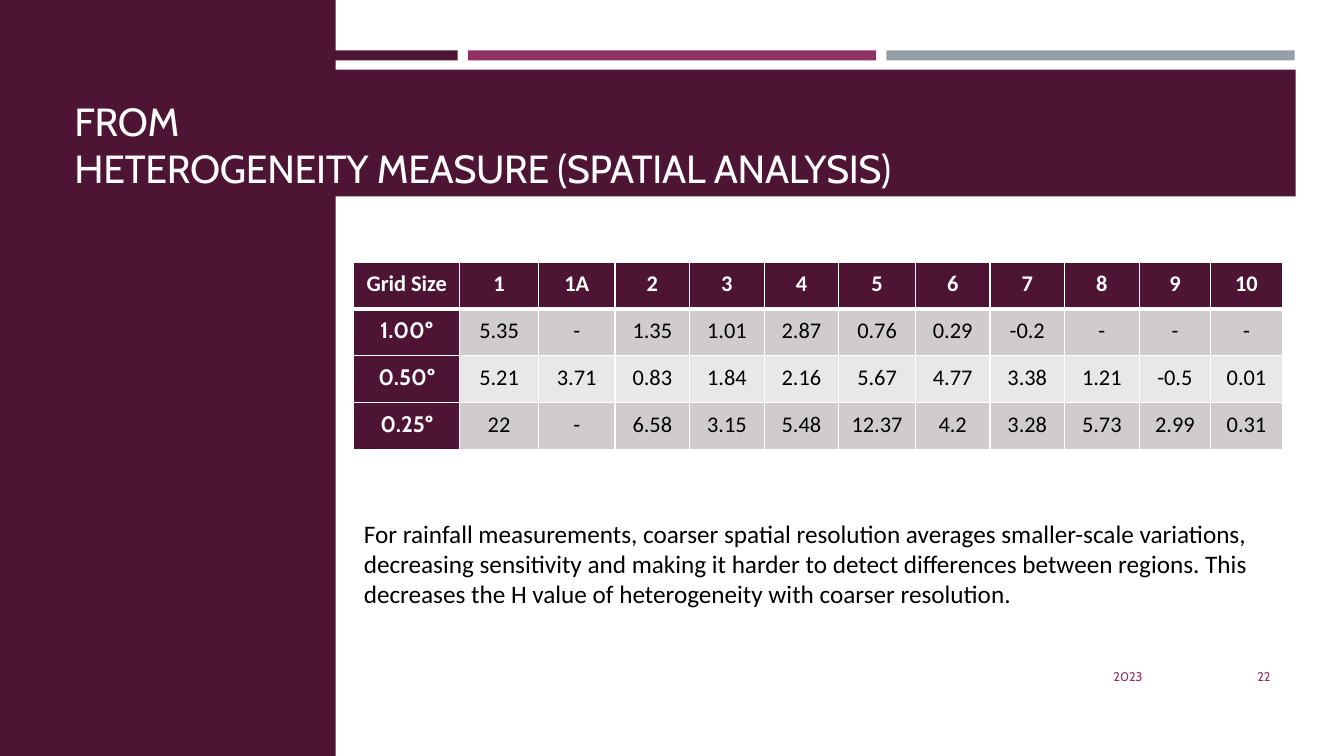
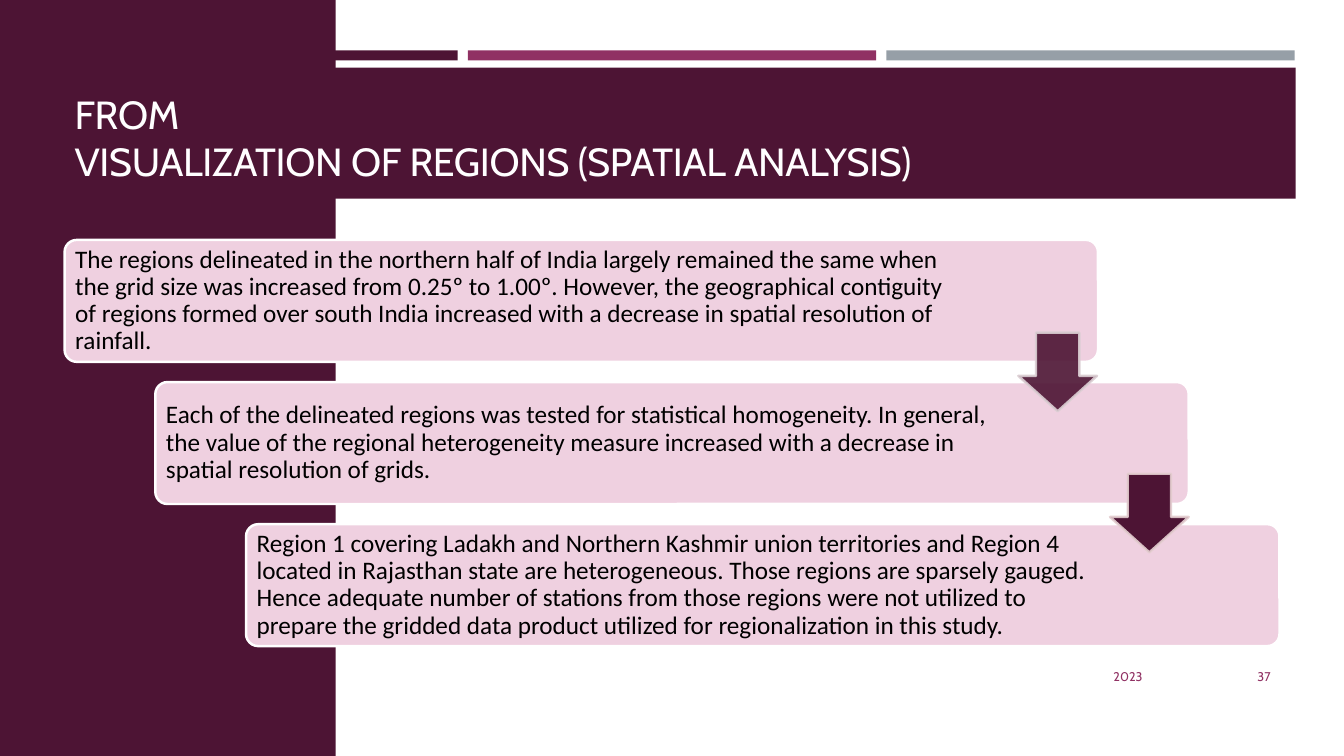
from lxml import etree
from pptx import Presentation
from pptx.dml.color import RGBColor
from pptx.enum.shapes import MSO_SHAPE
from pptx.enum.text import MSO_ANCHOR, PP_ALIGN
from pptx.oxml.ns import qn
from pptx.util import Inches, Pt

RECTANGLE = MSO_SHAPE.RECTANGLE
ROUNDED = MSO_SHAPE.ROUNDED_RECTANGLE
DOWN_ARROW = MSO_SHAPE.DOWN_ARROW
TOP, MIDDLE, BOTTOM = MSO_ANCHOR.TOP, MSO_ANCHOR.MIDDLE, MSO_ANCHOR.BOTTOM
LEFT, CENTER, RIGHT = PP_ALIGN.LEFT, PP_ALIGN.CENTER, PP_ALIGN.RIGHT

COLORS = {
    "plum": "4D1434",
    "magenta": "903163",
    "gray": "969FA7",
    "white": "FFFFFF",
    "title": "FFFEFF",
    "black": "000000",
    "row_dark": "D0CCCE",
    "row_light": "E9E7E8",
    "card": "EFD0E0",
    "arrow_line_light": "DBCED3",
    "arrow_line_pink": "E4CED0",
}
FONTS = {
    "title": {"name": "Cabin", "size": Pt(28)},
    "footer": {"name": "Cabin", "size": Pt(9)},
    "body": {"name": "Calibri", "size": Pt(18)},
    "value": {"name": "Calibri", "size": Pt(16), "bold": False},
    "column_head": {"name": "Calibri", "size": Pt(16), "bold": True},
    "row_head": {"name": "Cabin", "size": Pt(16), "bold": True},
}
DEFAULT_INSETS = (0.1, 0.05, 0.1, 0.05)

GRID_TABLE = [
    ["Grid Size", "1", "1A", "2", "3", "4", "5", "6", "7", "8", "9", "10"],
    ["1.00º", "5.35", "-", "1.35", "1.01", "2.87", "0.76", "0.29", "-0.2", "-", "-", "-"],
    ["0.50º", "5.21", "3.71", "0.83", "1.84", "2.16", "5.67", "4.77", "3.38", "1.21", "-0.5", "0.01"],
    ["0.25º", "22", "-", "6.58", "3.15", "5.48", "12.37", "4.2", "3.28", "5.73", "2.99", "0.31"],
]
COLUMN_WIDTHS = [1.05, 0.78, 0.76, 0.74, 0.74, 0.74, 0.76, 0.74, 0.74, 0.74, 0.71, 0.71]
RAINFALL_NOTE = (
    "For rainfall measurements, coarser spatial resolution averages smaller-scale variations, "
    "decreasing sensitivity and making it harder to detect differences between regions. "
    "This decreases the H value of heterogeneity with coarser resolution."
)
FINDINGS = [
    ("The regions delineated in the northern half of India largely remained the same when "
     "the grid size was increased from 0.25º to 1.00º. However, the geographical contiguity "
     "of regions formed over south India increased with a decrease in spatial resolution of "
     "rainfall.", 1.3),
    ("Each of the delineated regions was tested for statistical homogeneity. In general, "
     "the value of the regional heterogeneity measure increased with a decrease in "
     "spatial resolution of grids.", 1.75),
    ("Region 1 covering Ladakh and Northern Kashmir union territories and Region 4 "
     "located in Rajasthan state are heterogeneous. Those regions are sparsely gauged. "
     "Hence adequate number of stations from those regions were not utilized to "
     "prepare the gridded data product utilized for regionalization in this study.", 1.75),
]


def rgb(color):
    return RGBColor.from_string(COLORS[color])


def apply_format(target, values):
    for name, value in values.items():
        setattr(target, name, value)


def set_alpha(fill_parent, percent):
    color = fill_parent.find(".//" + qn("a:srgbClr"))
    etree.SubElement(color, qn("a:alpha")).set("val", str(percent * 1000))


def write_text(frame, text, font, color, align=LEFT, **paragraph_format):
    paragraph = frame.paragraphs[0]
    paragraph.text = text
    apply_format(paragraph, {"alignment": align, **paragraph_format})
    for run in paragraph.runs:
        apply_format(run.font, FONTS[font])
        run.font.color.rgb = rgb(color)


def set_frame(frame, anchor, insets=DEFAULT_INSETS):
    left, top, right, bottom = map(Inches, insets)
    apply_format(frame, {
        "word_wrap": True, "vertical_anchor": anchor,
        "margin_left": left, "margin_top": top,
        "margin_right": right, "margin_bottom": bottom,
    })


def add_shape(slide, kind, place, fill, line=None, adjustments=()):
    shape = slide.shapes.add_shape(kind, *map(Inches, place))
    shape.shadow.inherit = False
    shape.fill.solid()
    shape.fill.fore_color.rgb = rgb(fill)
    if line:
        shape.line.color.rgb = rgb(line)
        shape.line.width = Pt(1.75)
    else:
        shape.line.fill.background()
    for index, value in enumerate(adjustments):
        shape.adjustments[index] = value
    return shape


def add_text(slide, place, text, font, color, anchor=TOP, align=LEFT):
    frame = slide.shapes.add_textbox(*map(Inches, place)).text_frame
    set_frame(frame, anchor)
    write_text(frame, text, font, color, align)


def add_base_slide(presentation, title, number, band, title_insets):
    slide = presentation.slides.add_slide(presentation.slide_layouts[6])
    add_shape(slide, RECTANGLE, (0, 0, 3.33, 7.5), "plum")
    for index, color in enumerate(["plum", "magenta", "gray"]):
        add_shape(slide, RECTANGLE, (0.49 + 4.15 * index, 0.5, 4.05, 0.1), color)
    frame = add_shape(slide, RECTANGLE, band, "plum").text_frame
    set_frame(frame, BOTTOM, title_insets)
    write_text(frame, title, "title", "title")
    for run in frame.paragraphs[0].runs:
        run._r.get_or_add_rPr().set("spc", "-20")
    for left, width, text in [(8.32, 3.11, "2023"), (11.55, 1.15, number)]:
        add_text(slide, (left, 6.51, width, 0.4), text, "footer", "magenta", MIDDLE, RIGHT)
    return slide


def set_borders(cell, top, bottom):
    properties = cell._tc.get_or_add_tcPr()
    for side, width in [("L", 1), ("R", 1), ("T", top), ("B", bottom)]:
        line = etree.SubElement(properties, qn("a:ln" + side), w=str(Pt(width)))
        fill = etree.SubElement(line, qn("a:solidFill"))
        etree.SubElement(fill, qn("a:srgbClr"), val=COLORS["white"])


def cell_style(row, column):
    if row == 0:
        return "column_head", "white", "plum"
    if column == 0:
        return "row_head", "white", "plum"
    return "value", "black", "row_dark" if row % 2 else "row_light"


def add_grid_table(slide, left, top, height):
    place = map(Inches, (left, top, sum(COLUMN_WIDTHS), height))
    table = slide.shapes.add_table(len(GRID_TABLE), len(COLUMN_WIDTHS), *place).table
    apply_format(table, {"first_row": False, "horz_banding": False})
    for column, width in zip(table.columns, COLUMN_WIDTHS):
        column.width = Inches(width)
    for row, values in enumerate(GRID_TABLE):
        for column, value in enumerate(values):
            cell = table.cell(row, column)
            font, color, fill = cell_style(row, column)
            set_borders(cell, 3 if row == 1 else 1, 3 if row == 0 else 1)
            cell.fill.solid()
            cell.fill.fore_color.rgb = rgb(fill)
            apply_format(cell, {
                "margin_left": Inches(0.07), "margin_right": Inches(0.07),
                "margin_top": 0, "margin_bottom": 0,
            })
            write_text(cell.text_frame, value, font, color, CENTER,
                       line_spacing=1.3, space_after=Pt(8))


def add_finding(slide, index, text, right_inset):
    place = (0.64 + 0.9 * index, 2.38 + 1.41 * index, 10.25, 1.21)
    card = add_shape(slide, ROUNDED, place, "card", "white", [0.1])
    set_frame(card.text_frame, MIDDLE, (0.07, 0.05, right_inset, 0.05))
    write_text(card.text_frame, text, "body", "black", line_spacing=0.9)


def add_step_arrow(slide, index, line, fill_alpha):
    place = (10.1 + 0.91 * index, 3.3 + 1.4 * index, 0.78, 0.78)
    arrow = add_shape(slide, DOWN_ARROW, place, "plum", line, [0.55, 0.45])
    properties = arrow._element.spPr
    set_alpha(properties.find(qn("a:solidFill")), fill_alpha)
    set_alpha(properties.find(qn("a:ln")), 90)


def add_heterogeneity_slide(presentation):
    slide = add_base_slide(
        presentation, "FROM\vHETEROGENEITY MEASURE (SPATIAL ANALYSIS)", "22",
        (0.64, 0.69, 12.21, 1.26), DEFAULT_INSETS)
    add_grid_table(slide, 3.51, 2.6, 1.86)
    add_text(slide, (3.51, 5.09, 9.19, 1.31), RAINFALL_NOTE, "body", "black")


def add_regions_slide(presentation):
    slide = add_base_slide(
        presentation, "FROM\vVISUALIZATION OF REGIONS (SPATIAL ANALYSIS)", "37",
        (0.48, 0.67, 12.37, 1.3), (0.26, 0.05, 0.25, 0.14))
    for index, (text, right_inset) in enumerate(FINDINGS):
        add_finding(slide, index, text, right_inset)
    for index, (line, alpha) in enumerate([("arrow_line_light", 90), ("arrow_line_pink", 100)]):
        add_step_arrow(slide, index, line, alpha)


def main():
    presentation = Presentation()
    apply_format(presentation, {"slide_width": Inches(13.33), "slide_height": Inches(7.5)})
    add_heterogeneity_slide(presentation)
    add_regions_slide(presentation)
    presentation.save("out.pptx")


if __name__ == "__main__":
    main()
